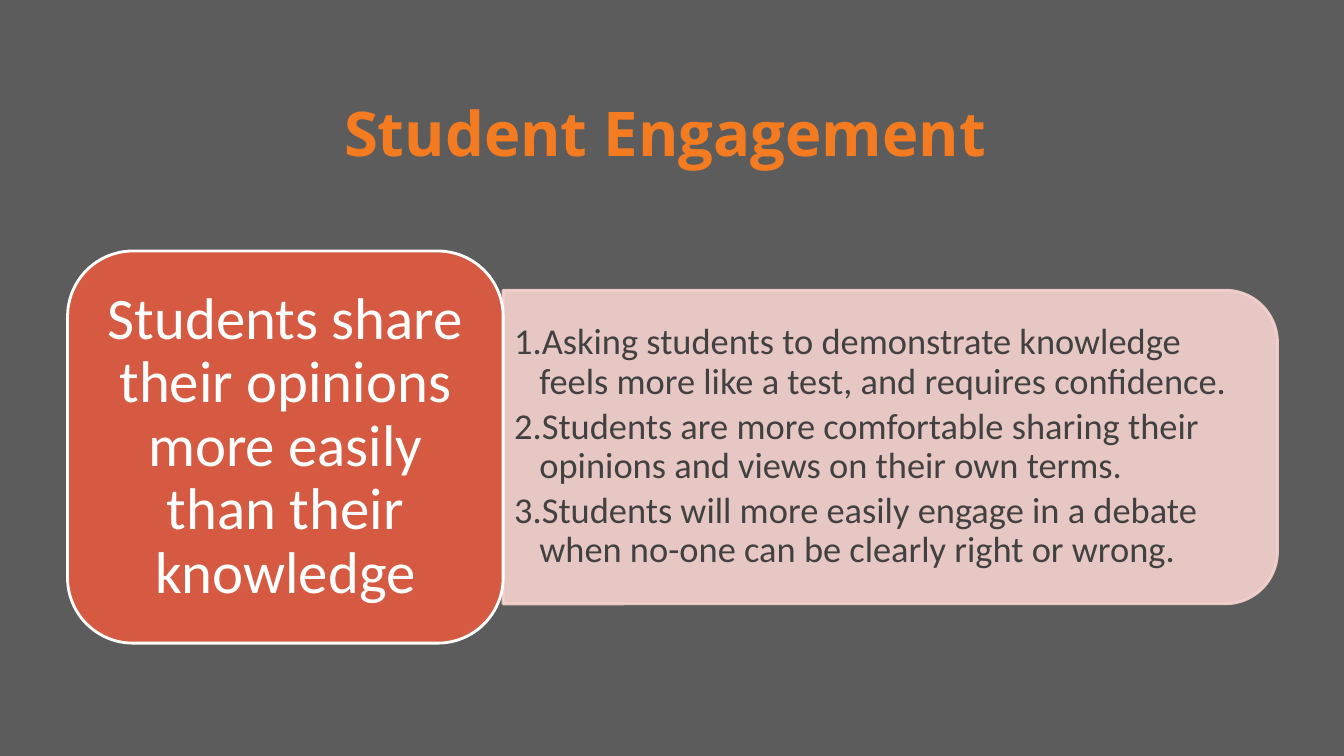
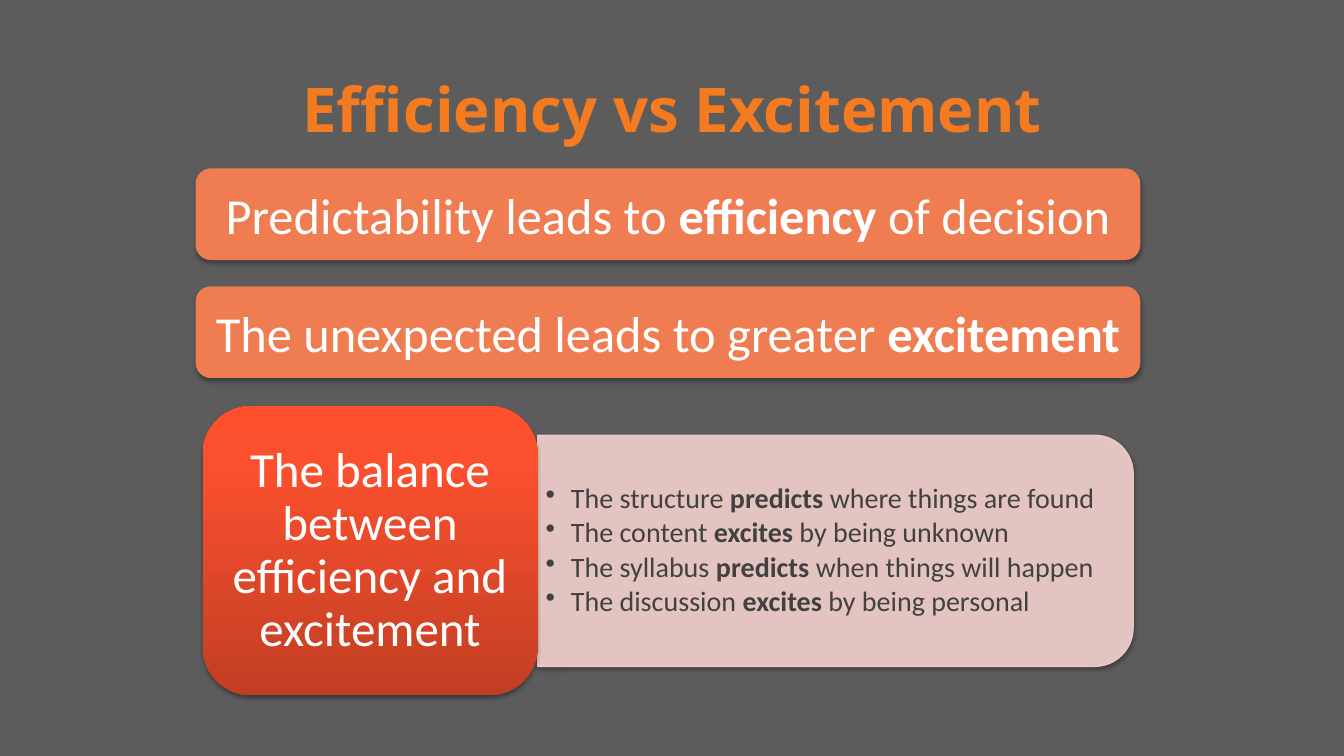
from lxml.etree import SubElement, fromstring
from pptx import Presentation
from pptx.dml.color import RGBColor
from pptx.enum.shapes import MSO_SHAPE
from pptx.enum.text import MSO_ANCHOR, PP_ALIGN
from pptx.oxml.ns import qn
from pptx.util import Pt

UNIT = 9144
GREY, ORANGE, WHITE, INK = "5C5C5C", "F57B20", "FFFFFF", "414141"
RED, CORAL, PINK = "D55A41", "EF7D51", "F7D3CF"
BLEND = [(0, "C23E23"), (80, "FB502E"), (100, "FF4F2C")]
NUMBER = ("a:buAutoNum", {"type": "arabicPeriod"})
BULLET = ("a:buChar", {"char": "•"})
SOFT, DEEP = (35, 3.1, 1.8), (32, 3.5, 2.2)
BODY, HEAD = "Calibri", "Open Sans"
SPACE = 'xmlns:a="http://schemas.openxmlformats.org/drawingml/2006/main"'


def px(*sizes):
    return [round(size * UNIT) for size in sizes]


def paint(fill, color):
    fill.solid()
    fill.fore_color.rgb = RGBColor.from_string(color)


def fade(fill, share):
    SubElement(fill.fore_color._xFill[0], qn("a:alpha"), val=str(share * 1000))


def blend(shape, stops):
    marks = "".join(
        f'<a:gs pos="{at * 1000}"><a:srgbClr val="{color}"/></a:gs>'
        for at, color in stops)
    shape._element.spPr.insert(2, fromstring(
        f'<a:gradFill {SPACE} rotWithShape="1"><a:gsLst>{marks}</a:gsLst>'
        '<a:lin ang="16200000" scaled="0"/></a:gradFill>'))


def shade(shape, glow):
    shape.shadow.inherit = False
    if glow:
        alpha, blur, drop = glow
        effect = shape._element.spPr.find(qn("a:effectLst"))
        effect.append(fromstring(
            f'<a:outerShdw {SPACE} blurRad="{Pt(blur)}" dist="{Pt(drop)}" '
            'dir="5400000" algn="ctr" rotWithShape="0"><a:srgbClr val="000000">'
            f'<a:alpha val="{alpha * 1000}"/></a:srgbClr></a:outerShdw>'))


def draw(slide, kind, box, fill, line=None, width=0, glow=None):
    shape = slide.shapes.add_shape(kind, *px(*box))
    if isinstance(fill, str):
        paint(shape.fill, fill)
    else:
        blend(shape, fill)
    if line:
        paint(shape.line.fill, line)
        shape.line.width = Pt(width)
    else:
        shape.line.fill.background()
    shade(shape, glow)
    return shape


def write(shape, lines, size, color, face=BODY, mark=None, pad=10,
          tight=False, bold=False):
    frame = shape.text_frame
    frame.word_wrap = True
    frame.vertical_anchor = MSO_ANCHOR.MIDDLE
    frame.margin_left, frame.margin_right = px(pad, pad)
    frame.margin_top, frame.margin_bottom = px(pad // 2, pad // 2)
    for place, line in enumerate(lines):
        para = frame.add_paragraph() if place else frame.paragraphs[0]
        para.alignment = PP_ALIGN.LEFT if mark else PP_ALIGN.CENTER
        if mark:
            props = para._p.get_or_add_pPr()
            props.set("marL", str(px(25)[0]))
            props.set("indent", str(px(-25)[0]))
            tag, attrs = mark
            SubElement(props, qn(tag), attrs)
            para.space_after = Pt(round(size * 0.15))
        if tight:
            para.line_spacing = 0.9
        font = para.font
        font.name, font.size, font.bold = face, Pt(size), bold
        font.color.rgb = RGBColor.from_string(color)
        for turn, part in enumerate(line.split("*")):
            if part:
                run = para.add_run()
                run.text = part
                if turn % 2:
                    run.font.bold = True


def title(slide, left, top, text):
    box = slide.shapes.add_textbox(*px(left, top, 1200, 125))
    write(box, [text], 44, ORANGE, HEAD, bold=True)
    props = box.text_frame.paragraphs[0].runs[0]._r.get_or_add_rPr()
    props.insert(0, fromstring(
        f'<a:ln {SPACE} w="{Pt(0.75)}"><a:solidFill>'
        f'<a:srgbClr val="{INK}"/></a:solidFill></a:ln>'))


def panel(slide, box, lines, size, mark, width, glow):
    left, top, wide, high = box
    mid, half = left + wide / 2, top + high / 2
    shape = draw(slide, MSO_SHAPE.ROUND_2_SAME_RECTANGLE,
                 (mid - high / 2, half - wide / 2, high, wide),
                 PINK, PINK, width, glow)
    shape.rotation = 90
    fade(shape.fill, 90)
    fade(shape.line.fill, 90)
    inset = high * 0.05
    text = slide.shapes.add_textbox(
        *px(left, top + inset, wide - inset, high - 2 * inset))
    write(text, lines, size, INK, mark=mark, pad=round(size * 0.41), tight=True)


def pair(slide, box, head, lines, sizes, mark, fill, line, width, glow=None):
    left, top, wide, high = box
    big, small = sizes
    split = wide * 0.36
    panel(slide, (left + split, top + high * 0.1, wide - split, high * 0.8),
          lines, small, mark, width, glow)
    card = draw(slide, MSO_SHAPE.ROUNDED_RECTANGLE, (left, top, split, high),
                fill, line, width, glow)
    write(card, [head], big, WHITE, pad=round(big * 0.41), tight=True)


def bars(slide, box, gap, lines):
    left, top, wide, high = box
    for row, line in enumerate(lines):
        bar = draw(slide, MSO_SHAPE.ROUNDED_RECTANGLE,
                   (left, top + row * (high + gap), wide, high),
                   CORAL, glow=DEEP)
        write(bar, [line], 36, WHITE)


def start(deck):
    slide = deck.slides.add_slide(deck.slide_layouts[6])
    paint(slide.background.fill, GREY)
    return slide


def engage(deck):
    slide = start(deck)
    title(slide, 60, 68, "Student Engagement")
    pair(slide, (67, 249, 1200, 389),
         "Students share their opinions more easily than their knowledge",
         ["Asking students to demonstrate knowledge feels more like a test, "
          "and requires confidence.",
          "Students are more comfortable sharing their opinions and views "
          "on their own terms.",
          "Students will more easily engage in a debate when no-one can be "
          "clearly right or wrong."],
         (42, 26), NUMBER, RED, WHITE, 2)


def excite(deck):
    slide = start(deck)
    title(slide, 67, 44, "Efficiency vs Excitement")
    pair(slide, (201, 403, 923, 287),
         "The balance between efficiency and excitement",
         ["The structure *predicts* where things are found",
          "The content *excites* by being unknown",
          "The syllabus *predicts* when things will happen",
          "The discussion *excites* by being personal"],
         (35, 20), BULLET, BLEND, None, 0.75, SOFT)
    bars(slide, (194, 167, 937, 91), 26,
         ["Predictability leads to *efficiency* of decision",
          "The unexpected leads to greater *excitement*"])


def main():
    deck = Presentation()
    deck.slide_width, deck.slide_height = px(1333, 750)
    engage(deck)
    excite(deck)
    deck.save("out.pptx")


if __name__ == "__main__":
    main()
